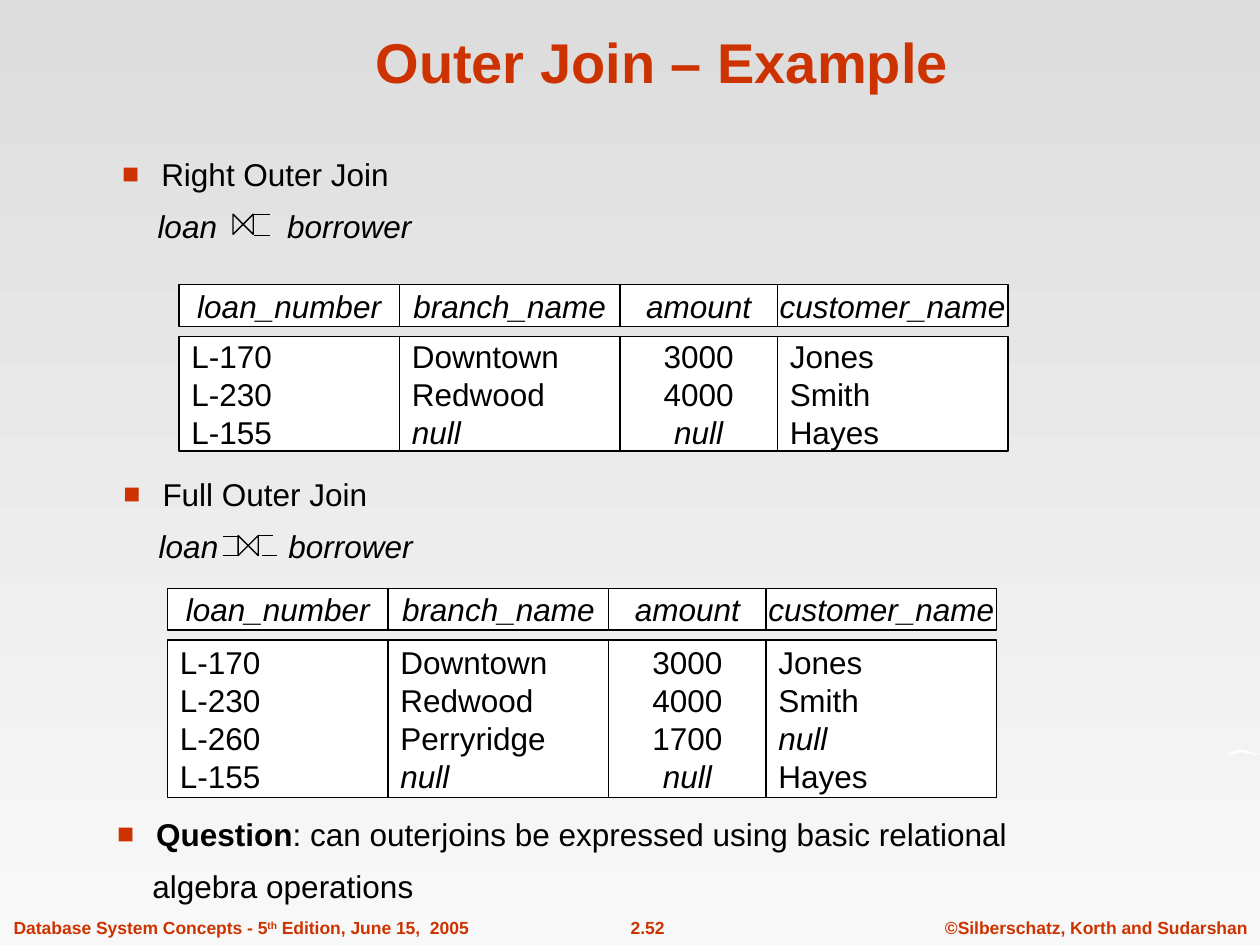
from dataclasses import dataclass

from lxml import etree
from pptx import Presentation
from pptx import util as u
from pptx.dml.color import RGBColor
from pptx.enum import shapes, text
from pptx.oxml.ns import qn

Inches, Pt = u.Inches, u.Pt


@dataclass(frozen=True)
class Theme:
    font: str = "Arial"
    accent: RGBColor = RGBColor(0xCC, 0x33, 0x00)
    ink: RGBColor = RGBColor(0, 0, 0)
    paper: RGBColor = RGBColor(0xFF, 0xFF, 0xFF)
    sky: RGBColor = RGBColor(0xDD, 0xDD, 0xDD)
    ground: RGBColor = RGBColor(0xF8, 0xF8, 0xF8)
    title: u.Length = Pt(32)
    body: u.Length = Pt(18)
    footer: u.Length = Pt(10)
    line: u.Length = Pt(0.75)


theme = Theme()


def style(paragraph, size, color, bold=False, italic=False, align=text.PP_ALIGN.LEFT):
    paragraph.alignment = align
    paragraph.space_before = Pt(0)
    font = paragraph.font
    font.name, font.size, font.bold, font.italic = theme.font, size, bold, italic
    font.color.rgb = color


def set_margins(paragraph, left, first, bullet=""):
    """Set the indents (inches) and the bullet sign of a paragraph."""
    properties = paragraph._p.get_or_add_pPr()
    properties.set("marL", str(Inches(left)))
    properties.set("indent", str(Inches(first)))
    if bullet:
        color = etree.SubElement(properties, qn("a:buClr"))
        etree.SubElement(color, qn("a:srgbClr"), val=str(theme.accent))
        etree.SubElement(properties, qn("a:buSzPct"), val="90000")
        etree.SubElement(properties, qn("a:buFont"), typeface=theme.font)
        etree.SubElement(properties, qn("a:buChar"), char=bullet)
    else:
        etree.SubElement(properties, qn("a:buNone"))


presentation = Presentation()
presentation.slide_width, presentation.slide_height = Inches(10), Inches(7.5)
comparison_layout = presentation.slide_layouts[4]
slide = presentation.slides.add_slide(comparison_layout)

# Background, fading from top to bottom
background = slide.background.fill
background.gradient()
background.gradient_angle = 270
for stop, color in zip(background.gradient_stops, (theme.sky, theme.ground)):
    stop.color.rgb = color

# Footer: left, width, text runs (the second run is raised), alignment
footers = [
    (7.4, 2.6, ["©Silberschatz, Korth and Sudarshan"], text.PP_ALIGN.CENTER),
    (4.65, 0.98, ["2.52"], text.PP_ALIGN.CENTER),
    (0.01, 3.81, ["Database System Concepts - 5", "th", " Edition, June 15,  2005"], text.PP_ALIGN.LEFT),
]
for left, width, runs, align in footers:
    footer = slide.shapes.add_textbox(Inches(left), Inches(7.23), Inches(width), Inches(0.27))
    footer.text_frame.word_wrap = False
    paragraph = footer.text_frame.paragraphs[0]
    style(paragraph, theme.footer, theme.accent, bold=True, align=align)
    for index, words in enumerate(runs):
        run = paragraph.add_run()
        run.text = words
        if index == 1:
            run.font._element.set("baseline", "30000")

# White swoosh at the right edge, in hundredths of an inch
swoosh_points = [
    (976, 598), (979, 596), (983, 595), (987, 595), (993, 597), (998, 598), (1000, 598),
    (999, 599), (996, 599), (990, 598), (985, 597), (980, 598), (977, 599), (975, 601),
]
builder = slide.shapes.build_freeform(975, 601, scale=Inches(0.01))
builder.add_line_segments(swoosh_points, close=True)
swoosh = builder.convert_to_shape()
swoosh.shadow.inherit = False
swoosh.fill.solid()
swoosh.fill.fore_color.rgb = theme.paper
swoosh.line.fill.background()

# Title
title = slide.shapes.title
title.left, title.top, title.width, title.height = Inches(0.84), Inches(0.13), Inches(8.83), Inches(0.67)
title.text_frame.text = "Outer Join – Example"
title.text_frame.vertical_anchor = text.MSO_ANCHOR.BOTTOM
title.text_frame.auto_size = text.MSO_AUTO_SIZE.NONE
style(title.text_frame.paragraphs[0], theme.title, theme.accent, bold=True, align=text.PP_ALIGN.CENTER)

# Relations: left, top, body height, rows
headings = ["loan_number", "branch_name", "amount", "customer_name"]
column_widths = [1.75, 1.75, 1.25, 1.83]
relations = [
    (1.42, 2.26, 0.91, [
        ("L-170", "Downtown", "3000", "Jones"),
        ("L-230", "Redwood", "4000", "Smith"),
        ("L-155", "null", "null", "Hayes"),
    ]),
    (1.33, 4.67, 1.25, [
        ("L-170", "Downtown", "3000", "Jones"),
        ("L-230", "Redwood", "4000", "Smith"),
        ("L-260", "Perryridge", "1700", "null"),
        ("L-155", "null", "null", "Hayes"),
    ]),
]
for left, top, body_height, rows in relations:
    for heading, width, values in zip(headings, column_widths, zip(*rows)):
        for box_top, height, lines in ((top, 0.33, [heading]), (top + 0.41, body_height, values)):
            box = slide.shapes.add_shape(
                shapes.MSO_SHAPE.RECTANGLE, Inches(left), Inches(box_top), Inches(width), Inches(height))
            box.shadow.inherit = False
            box.fill.solid()
            box.fill.fore_color.rgb = theme.paper
            box.line.color.rgb = theme.ink
            box.line.width = theme.line
            frame = box.text_frame
            frame.word_wrap = False
            frame.vertical_anchor = text.MSO_ANCHOR.MIDDLE
            frame.text = "\n".join(lines)
            centred = heading in lines or heading == "amount"
            for paragraph in frame.paragraphs:
                style(paragraph, theme.body, theme.ink, italic=paragraph.text in (heading, "null"),
                      align=text.PP_ALIGN.CENTER if centred else text.PP_ALIGN.LEFT)
        left += width

# Bullet lists: left, top, width, runs of the bullet, runs of the second line
join_operands = ["loan", " ", "borrower"]
lists = [
    (0.87, 1.18, 4.45, ["Right Outer Join"], join_operands),
    (0.88, 3.72, 4.45, ["Full Outer Join"], join_operands),
    (0.83, 6.42, 7.92, ["Question", ": can outerjoins be expressed using basic relational"],
     ["algebra operations"]),
]
bodies = [shape for shape in slide.placeholders if shape.placeholder_format.idx != 0]
for body, (left, top, width, bullet_runs, second_runs) in zip(bodies, lists):
    body.left, body.top, body.width, body.height = Inches(left), Inches(top), Inches(width), Inches(0.81)
    frame = body.text_frame
    frame.auto_size = text.MSO_AUTO_SIZE.NONE
    frame.vertical_anchor = text.MSO_ANCHOR.TOP
    bullet, follow_up = frame.paragraphs[0], frame.add_paragraph()
    set_margins(bullet, 0.31, -0.31, bullet="■")
    set_margins(follow_up, 0.28, 0)
    style(bullet, theme.body, theme.ink)
    style(follow_up, theme.body, theme.ink, italic=second_runs is join_operands)
    follow_up.space_before = Pt(7.9)
    for paragraph, runs in ((bullet, bullet_runs), (follow_up, second_runs)):
        for words in runs:
            run = paragraph.add_run()
            run.text = words
            if words == "Question":
                run.font.bold = True
            elif words == " ":  # widened by 35 points to hold the join sign
                run.font._element.set("spc", "3500")
for body in bodies[len(lists):]:
    body._element.getparent().remove(body._element)

# Join signs: bow tie position, then the left end and height of each bar
joins = [
    (1.85, 1.7, [(2.02, 1.7), (2.02, 1.87)]),
    (1.89, 4.25, [(1.77, 4.26), (1.77, 4.41), (2.05, 4.25), (2.08, 4.41)]),
]
for left, top, bars in joins:
    bow_tie = slide.shapes.add_shape(
        shapes.MSO_SHAPE.FLOWCHART_COLLATE, Inches(left), Inches(top), Inches(0.16), Inches(0.16))
    bow_tie.rotation = 270
    bow_tie.shadow.inherit = False
    bow_tie.fill.background()
    bow_tie.line.color.rgb = theme.ink
    bow_tie.line.width = theme.line
    for x, y in bars:
        bar = slide.shapes.add_connector(
            shapes.MSO_CONNECTOR.STRAIGHT, Inches(x), Inches(y), Inches(x + 0.12), Inches(y))
        bar.line.color.rgb = theme.ink
        bar.line.width = theme.line
        etree.SubElement(bar._element.spPr, qn("a:effectLst"))

presentation.save("out.pptx")
